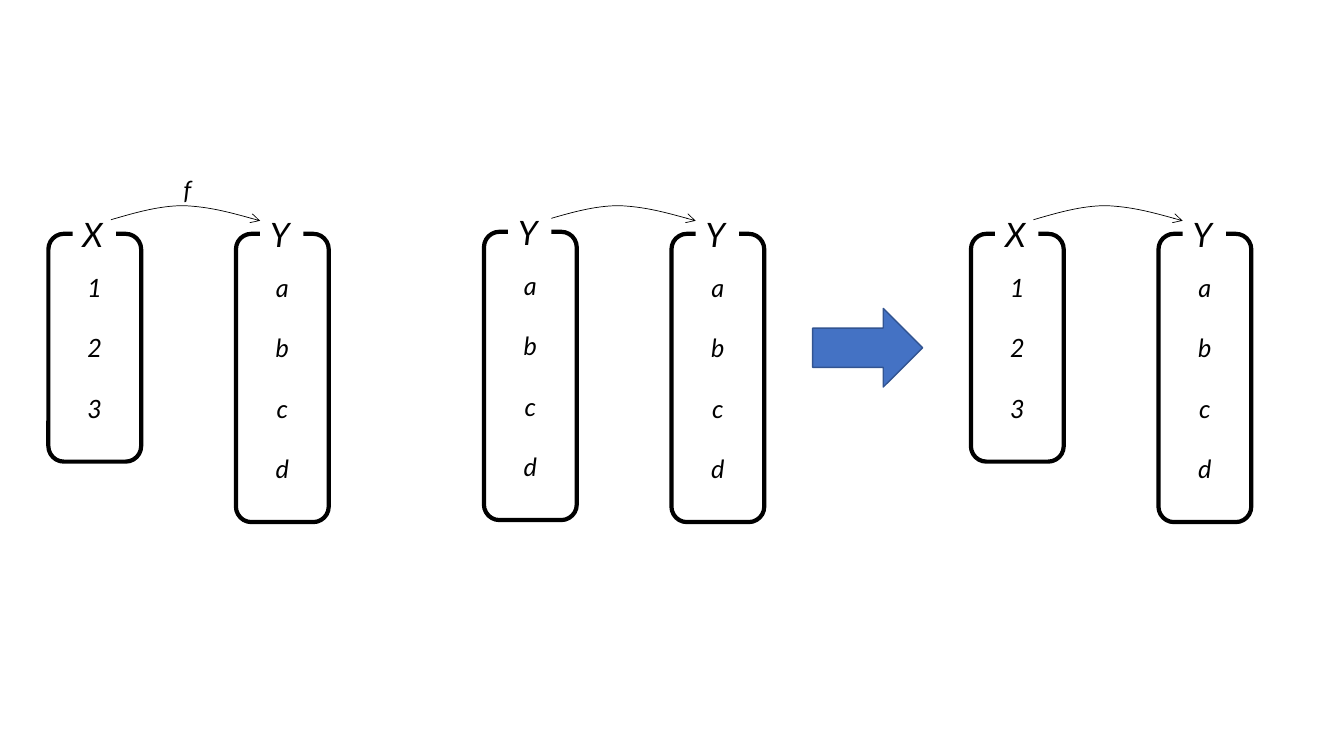
import pptx
import pptx.dml.color
import pptx.enum.shapes
import pptx.enum.text
import pptx.oxml
import pptx.oxml.ns
import pptx.util

Inches = pptx.util.Inches
Pt = pptx.util.Pt
RGBColor = pptx.dml.color.RGBColor
MSO_SHAPE = pptx.enum.shapes.MSO_SHAPE
MSO_ANCHOR = pptx.enum.text.MSO_ANCHOR
PP_ALIGN = pptx.enum.text.PP_ALIGN
qn = pptx.oxml.ns.qn

BLACK = RGBColor(0x00, 0x00, 0x00)
WHITE = RGBColor(0xFF, 0xFF, 0xFF)
BLUE = RGBColor(0x44, 0x72, 0xC4)
DARK_BLUE = RGBColor(0x32, 0x54, 0x91)

FONT = "Lato"
NUMBERS = ["1", "2", "3"]
LETTERS = ["a", "b", "c", "d"]
ELEMENT_PITCH = 0.6
SET_TOP = 2.32
SET_WIDTH = 0.92
SET_GAP = 1.86

# Start, then control, control and end point of each curve half
CURVE_POINTS = [
    (0, 0.14),
    (0.24, 0.07), (0.48, 0), (0.72, 0),
    (0.97, 0.01), (1.23, 0.08), (1.48, 0.15),
]


def write_paragraph(paragraph, text, size, alignment=PP_ALIGN.LEFT):
    paragraph.text = text
    paragraph.alignment = alignment
    paragraph.font.name = FONT
    paragraph.font.size = Pt(size)
    paragraph.font.italic = True
    paragraph.font.color.rgb = BLACK


def add_plain_shape(slide, preset, left, top, width, height):
    shape = slide.shapes.add_shape(
        preset, Inches(left), Inches(top), Inches(width), Inches(height))
    shape.shadow.inherit = False
    return shape


def draw_set(slide, left, top, name, elements):
    # Outline with its elements
    height = 0.46 + ELEMENT_PITCH * len(elements)
    outline = add_plain_shape(
        slide, MSO_SHAPE.ROUNDED_RECTANGLE, left, top, SET_WIDTH, height)
    outline.fill.background()
    outline.line.color.rgb = BLACK
    outline.line.width = Pt(3)
    frame = outline.text_frame
    frame.vertical_anchor = MSO_ANCHOR.MIDDLE
    for index, element in enumerate(elements):
        paragraph = frame.add_paragraph() if index else frame.paragraphs[0]
        write_paragraph(paragraph, element, 18, PP_ALIGN.CENTER)
        if index:
            paragraph.space_before = Pt(21.6)

    # Name that interrupts the top edge
    label = add_plain_shape(
        slide, MSO_SHAPE.RECTANGLE, left + 0.24, top - 0.25, 0.43, 0.5)
    label.fill.solid()
    label.fill.fore_color.rgb = WHITE
    label.line.fill.background()
    label.text_frame.vertical_anchor = MSO_ANCHOR.TOP
    write_paragraph(label.text_frame.paragraphs[0], name, 24)


def draw_curved_arrow(slide, left, top):
    points = [(Inches(left + x), Inches(top + y)) for x, y in CURVE_POINTS]
    builder = slide.shapes.build_freeform(*points[0])
    builder.add_line_segments(points[1:], close=False)
    arrow = builder.convert_to_shape()
    arrow.shadow.inherit = False
    arrow.fill.background()
    arrow.line.color.rgb = BLACK
    arrow.line.width = Pt(0.5)

    # Turn every three line segments into one Bézier curve
    segments = list(arrow.element.iter(qn("a:lnTo")))
    outline = segments[0].getparent()
    for start in range(0, len(segments), 3):
        curve = outline.makeelement(qn("a:cubicBezTo"))
        for segment in segments[start:start + 3]:
            curve.append(segment[0])
            outline.remove(segment)
        outline.append(curve)

    # Arrowhead
    head = outline.makeelement(qn("a:tailEnd"), {"type": "arrow"})
    arrow.element.spPr.find(qn("a:ln")).append(head)


def draw_mapping(slide, left, top, name, elements, lift=0, arrow_behind=False):
    """Draw a set, the set Y to its right and the arrow between them."""
    if not arrow_behind:
        draw_set(slide, left, top - lift, name, elements)
    draw_set(slide, left + SET_GAP, top, "Y", LETTERS)
    draw_curved_arrow(slide, left + 0.62, top - 0.28)
    if arrow_behind:
        draw_set(slide, left, top - lift, name, elements)


def draw_function_name(slide, left, top, name):
    box = slide.shapes.add_textbox(
        Inches(left), Inches(top), Inches(0.37), Inches(0.4))
    box.text_frame.word_wrap = True
    write_paragraph(box.text_frame.paragraphs[0], name, 18)


def draw_result_arrow(slide, left, top):
    arrow = add_plain_shape(
        slide, MSO_SHAPE.RIGHT_ARROW, left, top, 1.09, 0.78)
    arrow.fill.solid()
    arrow.fill.fore_color.rgb = BLUE
    arrow.line.color.rgb = DARK_BLUE
    arrow.line.width = Pt(1)


def main():
    presentation = pptx.Presentation()
    presentation.slide_width = Inches(13.33)
    presentation.slide_height = Inches(7.5)
    slide = presentation.slides.add_slide(presentation.slide_layouts[6])

    # Function f from X to Y
    draw_mapping(slide, 0.48, SET_TOP, "X", NUMBERS)
    draw_function_name(slide, 1.72, 1.68, "f")

    # Mapping from Y to itself
    draw_mapping(slide, 4.8, SET_TOP, "Y", LETTERS, lift=0.02, arrow_behind=True)

    # Resulting composition
    draw_mapping(slide, 9.63, SET_TOP, "X", NUMBERS)
    draw_result_arrow(slide, 8.06, 3.06)

    presentation.save("out.pptx")


if __name__ == "__main__":
    main()
